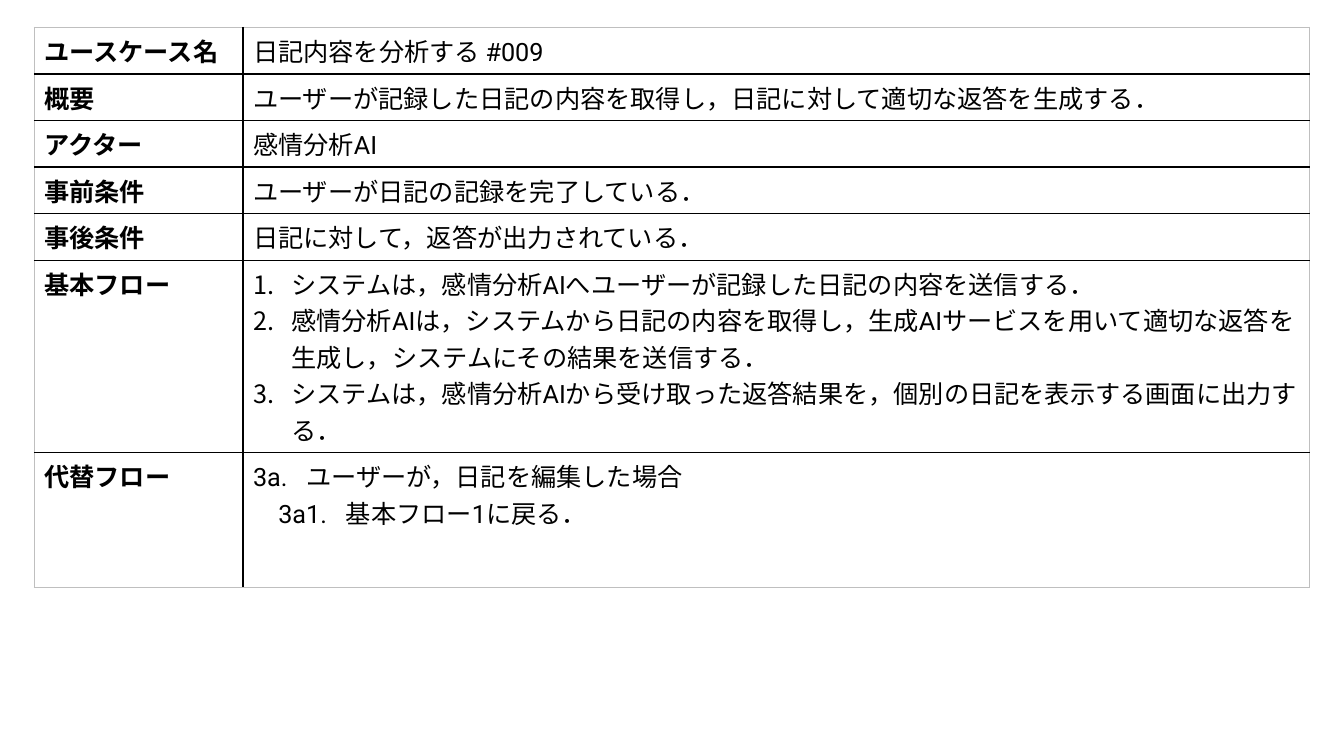
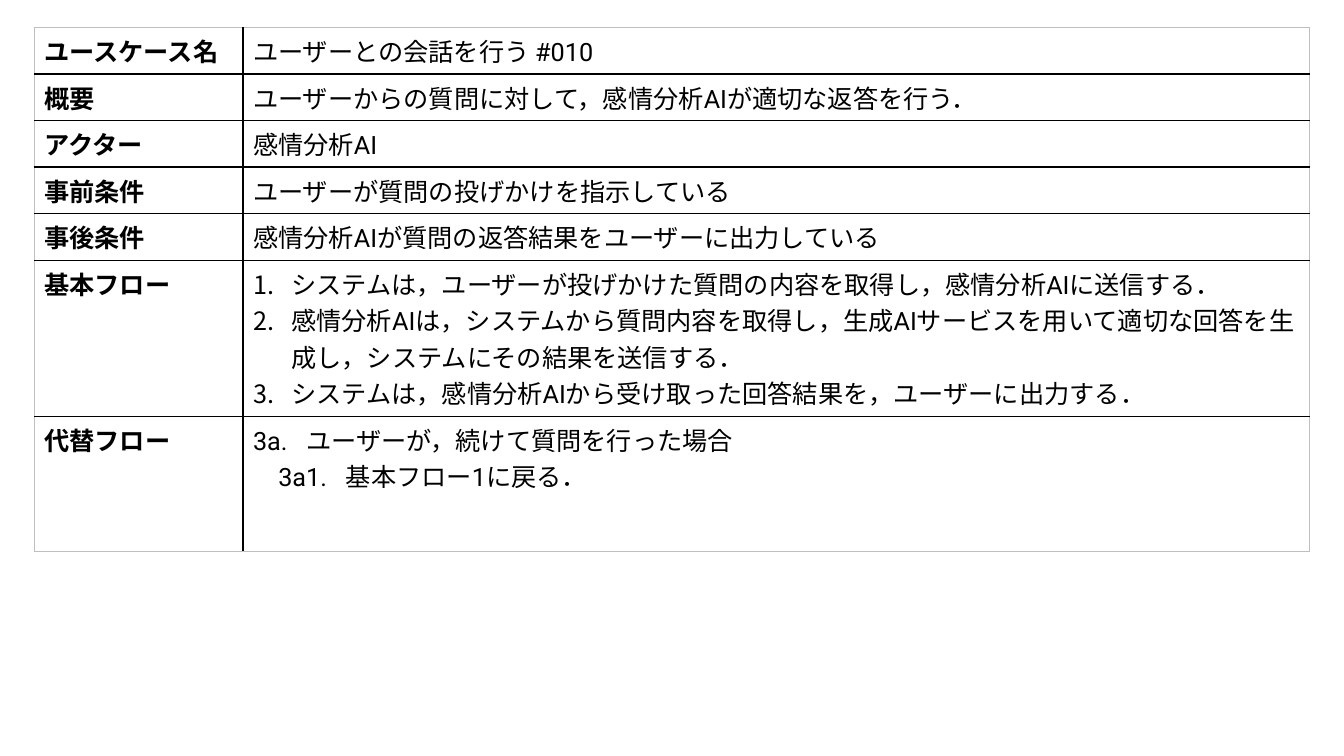
"""Build two use case description slides."""
import lxml.etree
import pptx
import pptx.dml.color
import pptx.enum.lang
import pptx.oxml.ns
import pptx.util

PX = 9144
BLACK, GRAY = "000000", "BFBFBF"
INNER, HEADER, OUTER = (BLACK, 1), (BLACK, 1.5), (GRAY, 0.5)
LABELS = ["ユースケース名", "概要", "アクター", "事前条件", "事後条件", "基本フロー", "代替フロー"]
TEXT = {
    "name": "Roboto",
    "size": pptx.util.Pt(18),
    "language_id": pptx.enum.lang.MSO_LANGUAGE_ID.JAPANESE,
}
INSETS = {"margin_left": 10, "margin_right": 10, "margin_top": 5, "margin_bottom": 5}
COLUMN_WIDTHS = [207, 1058]
LINE_HEIGHT, ROW_PADDING, LAST_ROW_HEIGHT = 36, 10, 134
NUMBERED = {"margin": 38, "indent": -38, "numbered": True}
BRANCH = {"margin": 53, "indent": -53}
BRANCH_STEP = {"margin": 92, "indent": -67}

USE_CASES = [
    {
        "facts": [
            "日記内容を分析する #009",
            "ユーザーが記録した日記の内容を取得し，日記に対して適切な返答を生成する．",
            "感情分析AI",
            "ユーザーが日記の記録を完了している．",
            "日記に対して，返答が出力されている．",
        ],
        "flow": [
            "システムは，感情分析AIへユーザーが記録した日記の内容を送信する．",
            "感情分析AIは，システムから日記の内容を取得し，生成AIサービスを用いて適切な返答を生成し，システムにその結果を送信する．",
            "システムは，感情分析AIから受け取った返答結果を，個別の日記を表示する画面に出力する．",
        ],
        "flow_lines": 5,
        "branch": "3a.\tユーザーが，日記を編集した場合",
    },
    {
        "facts": [
            "ユーザーとの会話を行う #010",
            "ユーザーからの質問に対して，感情分析AIが適切な返答を行う．",
            "感情分析AI",
            "ユーザーが質問の投げかけを指示している",
            "感情分析AIが質問の返答結果をユーザーに出力している",
        ],
        "flow": [
            "システムは，ユーザーが投げかけた質問の内容を取得し，感情分析AIに送信する．",
            "感情分析AIは，システムから質問内容を取得し，生成AIサービスを用いて適切な回答を生成し，システムにその結果を送信する．",
            "システムは，感情分析AIから受け取った回答結果を，ユーザーに出力する．",
        ],
        "flow_lines": 4,
        "branch": "3a.\tユーザーが，続けて質問を行った場合",
    },
]
BRANCH_RETURN = "3a1.\t基本フロー1に戻る．"


def px(length):
    """Turn pixels into EMU."""
    return pptx.util.Emu(length * PX)


def color(value):
    """Turn a hex string into a colour."""
    return pptx.dml.color.RGBColor.from_string(value)


def add_child(parent, tag, **attributes):
    """Append a drawing element with attributes."""
    child = lxml.etree.SubElement(parent, pptx.oxml.ns.qn(tag))
    for name, value in attributes.items():
        child.set(name, str(value))
    return child


def set_borders(cell, borders):
    """Draw the cell borders given as left, right, top and bottom."""
    properties = cell._tc.get_or_add_tcPr()
    for position, (side, (value, width)) in enumerate(zip("LRTB", borders)):
        line = add_child(properties, f"a:ln{side}", w=pptx.util.Pt(width))
        add_child(add_child(line, "a:solidFill"), "a:srgbClr", val=value)
        properties.insert(position, line)


def format_para(para, margin=0, indent=0, numbered=False):
    """Set the indents and numbering of a paragraph."""
    properties = para._p.get_or_add_pPr()
    properties.set("marL", str(px(margin)))
    properties.set("indent", str(px(indent)))
    if numbered:
        add_child(properties, "a:buFont", typeface=TEXT["name"])
        add_child(properties, "a:buAutoNum", type="arabicPeriod")
    elif margin:
        tabs = add_child(properties, "a:tabLst")
        add_child(tabs, "a:tab", pos=px(margin), algn="l")


def fill_cell(cell, paras, bold=False):
    """Write formatted paragraphs into a cell."""
    cell.fill.background()
    for name, value in INSETS.items():
        setattr(cell, name, px(value))
    frame = cell.text_frame
    for number, (text, layout) in enumerate(paras):
        para = frame.add_paragraph() if number else frame.paragraphs[0]
        format_para(para, **layout)
        span = para.add_run()
        span.text = text
        for name, value in {**TEXT, "bold": bold}.items():
            setattr(span.font, name, value)
        span.font.color.rgb = color(BLACK)


def cell_borders(row, column, last_row):
    """Choose the four borders by the place of a cell in the table."""
    rules = [OUTER, HEADER] + [INNER] * (last_row - 1) + [OUTER]
    sides = [OUTER, INNER, OUTER]
    return [sides[column], sides[column + 1], rules[row], rules[row + 1]]


def add_use_case(deck, use_case):
    """Add a page with the table of one use case."""
    page = deck.slides.add_slide(deck.slide_layouts[6])
    contents = [[(fact, {})] for fact in use_case["facts"]]
    contents.append([(step, NUMBERED) for step in use_case["flow"]])
    contents.append([(use_case["branch"], BRANCH), (BRANCH_RETURN, BRANCH_STEP)])
    line_counts = [1] * len(use_case["facts"]) + [use_case["flow_lines"]]
    heights = [ROW_PADDING + LINE_HEIGHT * count for count in line_counts] + [LAST_ROW_HEIGHT]
    box = page.shapes.add_table(
        len(LABELS), 2, px(34), px(27), px(sum(COLUMN_WIDTHS)), px(sum(heights))
    )
    table = box.table
    table.first_row = table.horz_banding = False
    for column, width in zip(table.columns, COLUMN_WIDTHS):
        column.width = px(width)
    for index, (label, paras, height) in enumerate(zip(LABELS, contents, heights)):
        table.rows[index].height = px(height)
        fill_cell(table.cell(index, 0), [(label, {})], bold=True)
        fill_cell(table.cell(index, 1), paras)
        for column in range(2):
            set_borders(table.cell(index, column), cell_borders(index, column, len(LABELS) - 1))


def main():
    """Build and save the deck."""
    deck = pptx.Presentation()
    deck.slide_width, deck.slide_height = px(1333), px(750)
    for use_case in USE_CASES:
        add_use_case(deck, use_case)
    deck.save("out.pptx")


if __name__ == "__main__":
    main()
